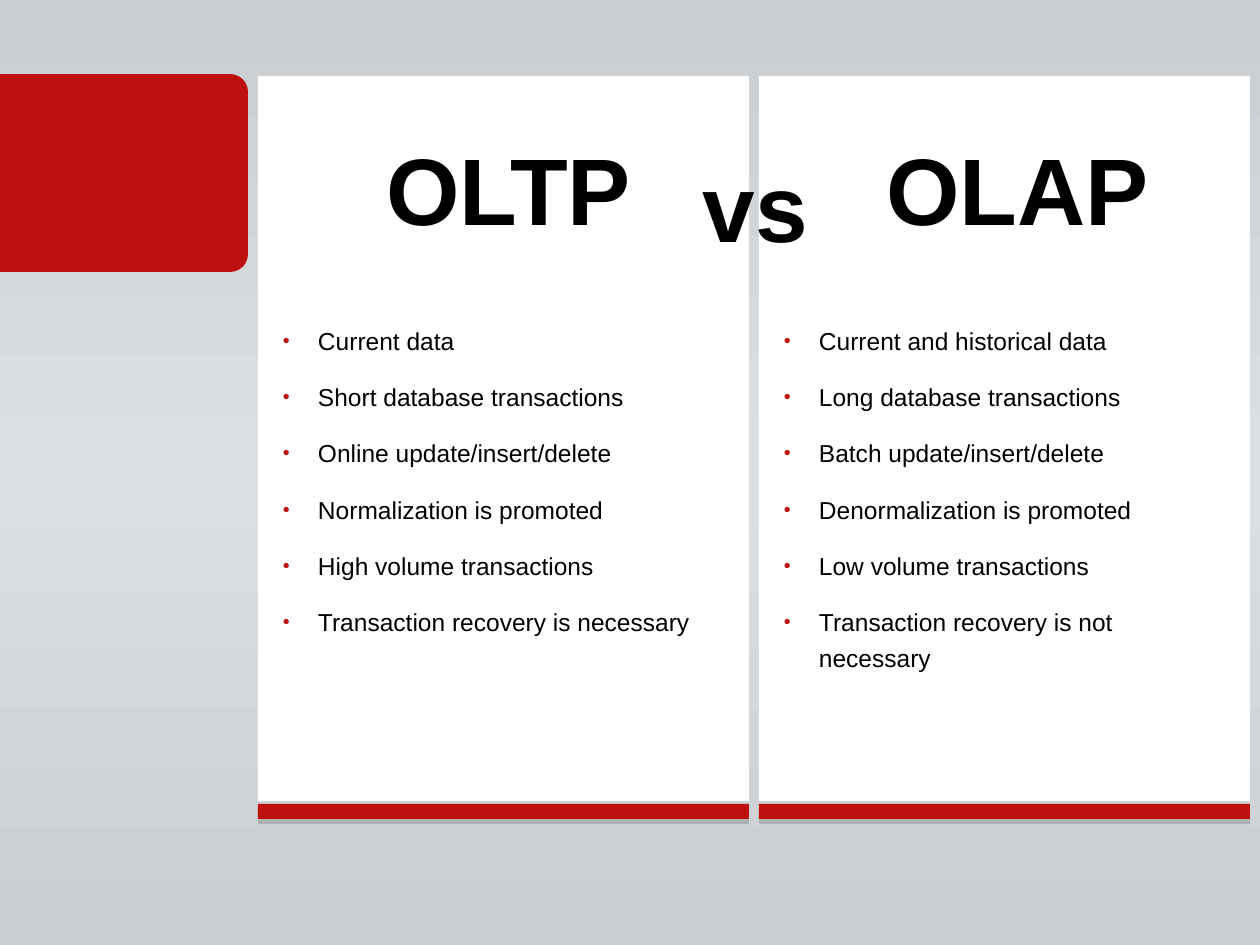
"""Build a slide that compares OLTP with OLAP in two cards."""
from copy import deepcopy
from dataclasses import dataclass

from lxml import etree
from pptx import Presentation
from pptx.dml.color import RGBColor
from pptx.enum.shapes import MSO_SHAPE
from pptx.enum.text import MSO_ANCHOR, PP_ALIGN
from pptx.oxml.ns import qn
from pptx.util import Pt

RECT, TAB = MSO_SHAPE.RECTANGLE, MSO_SHAPE.ROUND_2_SAME_RECTANGLE
LEFT, CENTER = PP_ALIGN.LEFT, PP_ALIGN.CENTER
TOP = MSO_ANCHOR.TOP

CARDS = [
    ["Current data", "Short database transactions",
     "Online update/insert/delete", "Normalization is promoted",
     "High volume transactions", "Transaction recovery is necessary"],
    ["Current and historical data", "Long database transactions",
     "Batch update/insert/delete", "Denormalization is promoted",
     "Low volume transactions", "Transaction recovery is not necessary"],
]
HEADS = [("OLTP", (372, 125, 273, 127)), ("OLAP", (872, 125, 291, 127)),
         ("vs", (690, 142, 131, 127))]


@dataclass(frozen=True)
class Theme:
    """Colours, font and type sizes."""
    red: str = "BE100F"
    white: str = "FFFFFF"
    ink: str = "000000"
    shade: str = "7F7F7F"
    edge: str = "CACED1"
    mid: str = "DBDFE2"
    font: str = "Arial"
    head: int = 54
    body: int = 14


THEME = Theme()
SCALE = 914400 / 126
CARD_X, CARD_Y, CARD_W, CARD_H, STEP = 258, 76, 491, 725, 501
BAR_Y, BAR_H = 804, 15
INDENT = 35


def px(num):
    return round(num * SCALE)


def add_block(slide, kind, box, color):
    shape = slide.shapes.add_shape(kind, *map(px, box))
    shape.shadow.inherit = False
    shape.fill.solid()
    shape.fill.fore_color.rgb = RGBColor.from_string(color)
    shape.line.fill.background()
    return shape


def add_shade(shape):
    effect = shape.element.spPr.find(qn("a:effectLst"))
    outer = etree.SubElement(effect, qn("a:outerShdw"), blurRad="0",
                             dist=str(Pt(3)), dir="5400000", rotWithShape="0")
    color = etree.SubElement(outer, qn("a:srgbClr"), val=THEME.shade)
    etree.SubElement(color, qn("a:alpha"), val="40000")


def add_bullet(para):
    props = para._p.get_or_add_pPr()
    props.set("marL", str(px(INDENT)))
    props.set("indent", str(-px(INDENT)))
    color = etree.SubElement(props, qn("a:buClr"))
    etree.SubElement(color, qn("a:srgbClr"), val=THEME.red)
    etree.SubElement(props, qn("a:buSzPct"), val="80000")
    etree.SubElement(props, qn("a:buFont"), typeface=THEME.font)
    etree.SubElement(props, qn("a:buChar"), char="•")


def put_text(shape, lines, size, inset, bold=False, align=LEFT, wrap=True,
             space=1, gap=0, bullet=False):
    frame = shape.text_frame
    frame.word_wrap = wrap
    frame.vertical_anchor = TOP
    (frame.margin_left, frame.margin_top,
     frame.margin_right, frame.margin_bottom) = map(px, inset)
    for row, line in enumerate(lines):
        para = frame.add_paragraph() if row else frame.paragraphs[0]
        para.alignment = align
        para.line_spacing = space
        para.space_before = Pt(gap if row else 0)
        para.space_after = Pt(gap)
        if bullet:
            add_bullet(para)
        run = para.add_run()
        run.text = line
        run.font.name = THEME.font
        run.font.size = Pt(size)
        run.font.bold = bold
        run.font.color.rgb = RGBColor.from_string(THEME.ink)


def paint_back(slide):
    fill = slide.background.fill
    fill.gradient()
    fill.gradient_angle = 90
    stops = slide.element.find(".//" + qn("a:gsLst"))
    stops.insert(1, deepcopy(stops[0]))
    colors = (THEME.edge, THEME.mid, THEME.edge)
    for stop, place, color in zip(fill.gradient_stops, (0, 0.5, 1), colors):
        stop.position = place
        stop.color.rgb = RGBColor.from_string(color)


def main():
    deck = Presentation()
    deck.slide_width, deck.slide_height = px(1260), px(945)
    slide = deck.slides.add_slide(deck.slide_layouts[6])
    paint_back(slide)

    spots = [CARD_X + col * STEP for col in range(len(CARDS))]
    for left in spots:
        add_shade(add_block(slide, RECT, (left, BAR_Y, CARD_W, BAR_H),
                            THEME.red))

    tab = add_block(slide, TAB, (25, 49, 198, 248), THEME.red)
    tab.rotation = 90
    tab.adjustments[0] = 0.09
    tab.adjustments[1] = 0

    for left, lines in zip(spots, CARDS):
        card = add_block(slide, RECT, (left, CARD_Y, CARD_W, CARD_H),
                         THEME.white)
        put_text(card, lines, THEME.body, (25, 244, 49, 25),
                 space=1.2, gap=6, bullet=True)

    for word, box in HEADS:
        label = slide.shapes.add_textbox(*map(px, box))
        put_text(label, [word], THEME.head, (5, 6, 5, 6),
                 bold=True, align=CENTER, wrap=False)

    deck.save("out.pptx")


if __name__ == "__main__":
    main()
